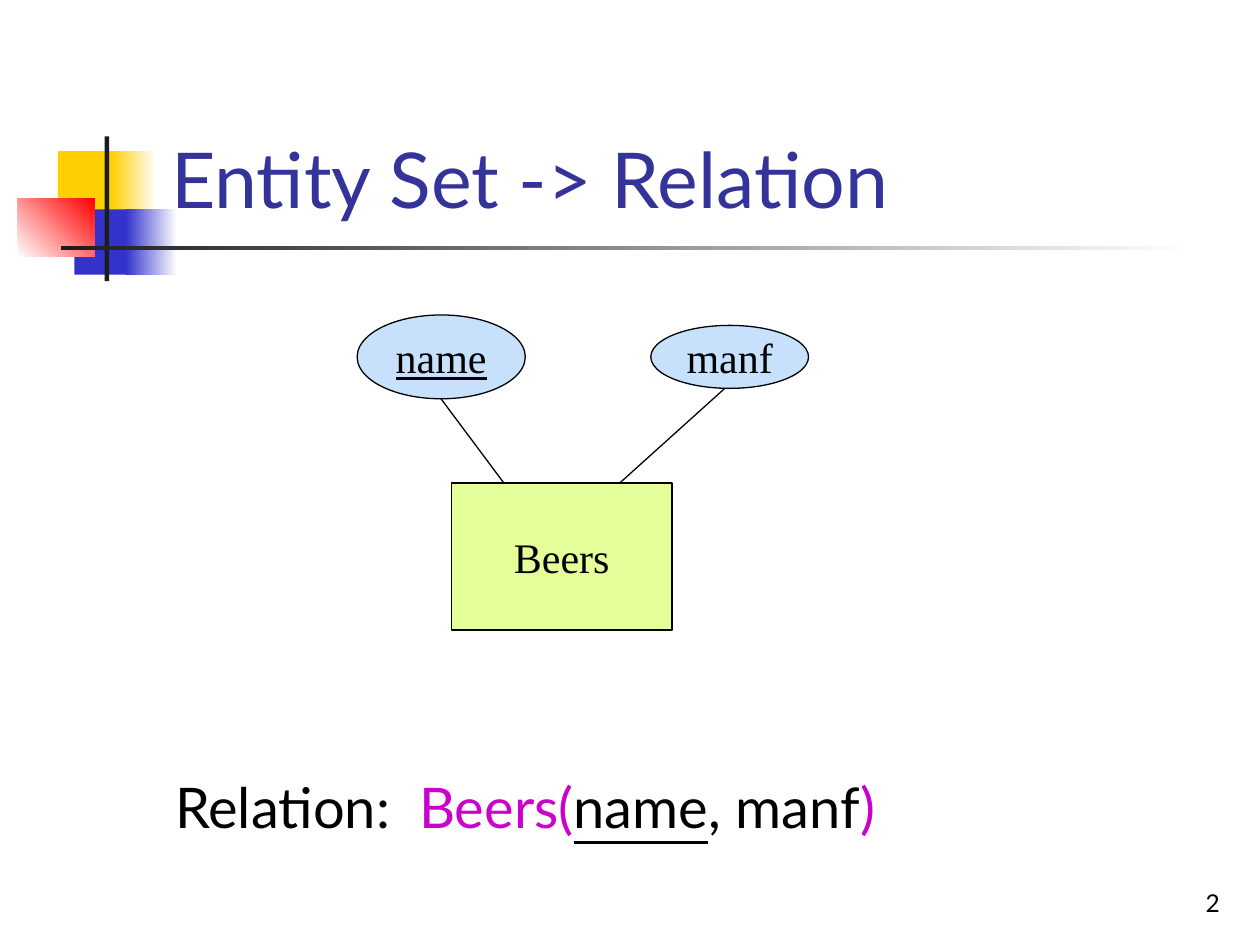
from typing import NamedTuple, Optional

from lxml.etree import SubElement
from pptx import Presentation
from pptx.dml.color import RGBColor
from pptx.enum.shapes import MSO_CONNECTOR, MSO_SHAPE
from pptx.enum.text import MSO_ANCHOR, PP_ALIGN
from pptx.oxml.ns import qn
from pptx.util import Cm, Pt

COLORS = {
    "yellow": "FFCF01", "blue": "3333CC", "red": "FF0000", "white": "FFFFFF",
    "rule": "1C1C1C", "title": "333399", "black": "000000",
    "relation": "CC00CC", "entity": "E4FF99", "attribute": "C7E1FD",
}
SANS, SERIF = "Lato", "Times New Roman"


class Box(NamedTuple):
    left: float
    top: float
    width: float
    height: float


class Block(NamedTuple):
    box: Box
    color: str
    fade_to: Optional[str] = None
    angle: float = 0


class Node(NamedTuple):
    label: str
    box: Box
    kind: MSO_SHAPE
    color: str
    key: bool = False


class Link(NamedTuple):
    start: tuple[float, float]
    end: tuple[float, float]


class Part(NamedTuple):
    text: str
    color: str = "black"
    underline: bool = False


# Corner ornament: blocks and rules, from back to front
ORNAMENT = [
    Block(Box(1.17, 3.05, 1.22, 1.32), "yellow"),
    Block(Box(2.24, 3.05, 0.91, 1.32), "yellow", "white"),
    Block(Box(1.5, 4.22, 1.17, 1.32), "blue"),
    Block(Box(2.54, 4.22, 1.02, 1.32), "blue", "white"),
    Block(Box(0.36, 4.01, 1.55, 1.17), "white", "red", 45),
    Block(Box(2.11, 2.75, 0.09, 2.92), "rule"),
    Block(Box(1.23, 4.95, 22.86, 0.09), "rule", "white"),
]
NODES = [
    Node("Beers", Box(9.1, 9.74, 4.45, 2.96), MSO_SHAPE.RECTANGLE, "entity"),
    Node("name", Box(7.2, 6.35, 3.39, 1.69), MSO_SHAPE.OVAL, "attribute", key=True),
    Node("manf", Box(13.12, 6.56, 3.18, 1.27), MSO_SHAPE.OVAL, "attribute"),
]
LINKS = [
    Link((8.89, 8.04), (10.16, 9.74)),
    Link((14.61, 7.83), (12.49, 9.74)),
]


def rgb(name: str) -> RGBColor:
    return RGBColor.from_string(COLORS[name])


def lengths(values) -> list:
    return [Cm(value) for value in values]


def write(frame, *parts: Part, size: float, font: str = SANS,
          align=PP_ALIGN.LEFT, anchor=MSO_ANCHOR.TOP, wrap: bool = True) -> None:
    frame.word_wrap = wrap
    frame.vertical_anchor = anchor
    paragraph = frame.paragraphs[0]
    paragraph.alignment = align
    for part in parts:
        run = paragraph.add_run()
        run.text = part.text
        run.font.name = font
        run.font.size = Pt(size)
        run.font.color.rgb = rgb(part.color)
        run.font.underline = part.underline


def add_text(slide, box: Box, *parts: Part, **text_format) -> None:
    write(slide.shapes.add_textbox(*lengths(box)).text_frame, *parts, **text_format)


def draw_block(slide, block: Block) -> None:
    shape = slide.shapes.add_shape(MSO_SHAPE.RECTANGLE, *lengths(block.box))
    shape.shadow.inherit = False
    shape.line.fill.background()
    if block.fade_to is None:
        shape.fill.solid()
        shape.fill.fore_color.rgb = rgb(block.color)
        return
    shape.fill.gradient()
    shape.fill.gradient_angle = block.angle
    ends = (block.color, block.fade_to)
    for position, (stop, color) in enumerate(zip(shape.fill.gradient_stops, ends)):
        stop.position = position
        stop.color.rgb = rgb(color)


def draw_node(slide, node: Node) -> None:
    shape = slide.shapes.add_shape(node.kind, *lengths(node.box))
    shape.shadow.inherit = False
    shape.fill.solid()
    shape.fill.fore_color.rgb = rgb(node.color)
    shape.line.color.rgb = rgb("black")
    shape.line.width = Pt(0.75)
    write(shape.text_frame, Part(node.label, underline=node.key), size=24,
          font=SERIF, align=PP_ALIGN.CENTER, anchor=MSO_ANCHOR.MIDDLE, wrap=False)


def draw_link(slide, link: Link) -> None:
    line = slide.shapes.add_connector(
        MSO_CONNECTOR.STRAIGHT, *lengths(link.start + link.end))
    line.line.color.rgb = rgb("black")
    line.line.width = Pt(0.75)
    SubElement(line._element.spPr, qn("a:effectLst"))


def main() -> None:
    deck = Presentation()
    deck.slide_width, deck.slide_height = Cm(25.4), Cm(19.05)
    slide = deck.slides.add_slide(deck.slide_layouts[6])

    for block in ORNAMENT:
        draw_block(slide, block)

    # Slide number and title
    add_text(slide, Box(19.56, 17.35, 5.28, 1.27), Part("2"), size=14,
             align=PP_ALIGN.RIGHT, anchor=MSO_ANCHOR.BOTTOM)
    add_text(slide, Box(3.2, 0.58, 21.64, 4.06), Part("Entity Set -> Relation", "title"),
             size=44, anchor=MSO_ANCHOR.BOTTOM)

    # Relation schema, with its key underlined
    add_text(slide, Box(3.28, 15.44, 21.59, 1.6),
             Part("Relation:  "), Part("Beers(", "relation"),
             Part("name", underline=True), Part(", manf"), Part(")", "relation"),
             size=32)

    # Entity-relationship diagram
    for node in NODES:
        draw_node(slide, node)
    for link in LINKS:
        draw_link(slide, link)

    deck.save("out.pptx")


if __name__ == "__main__":
    main()
